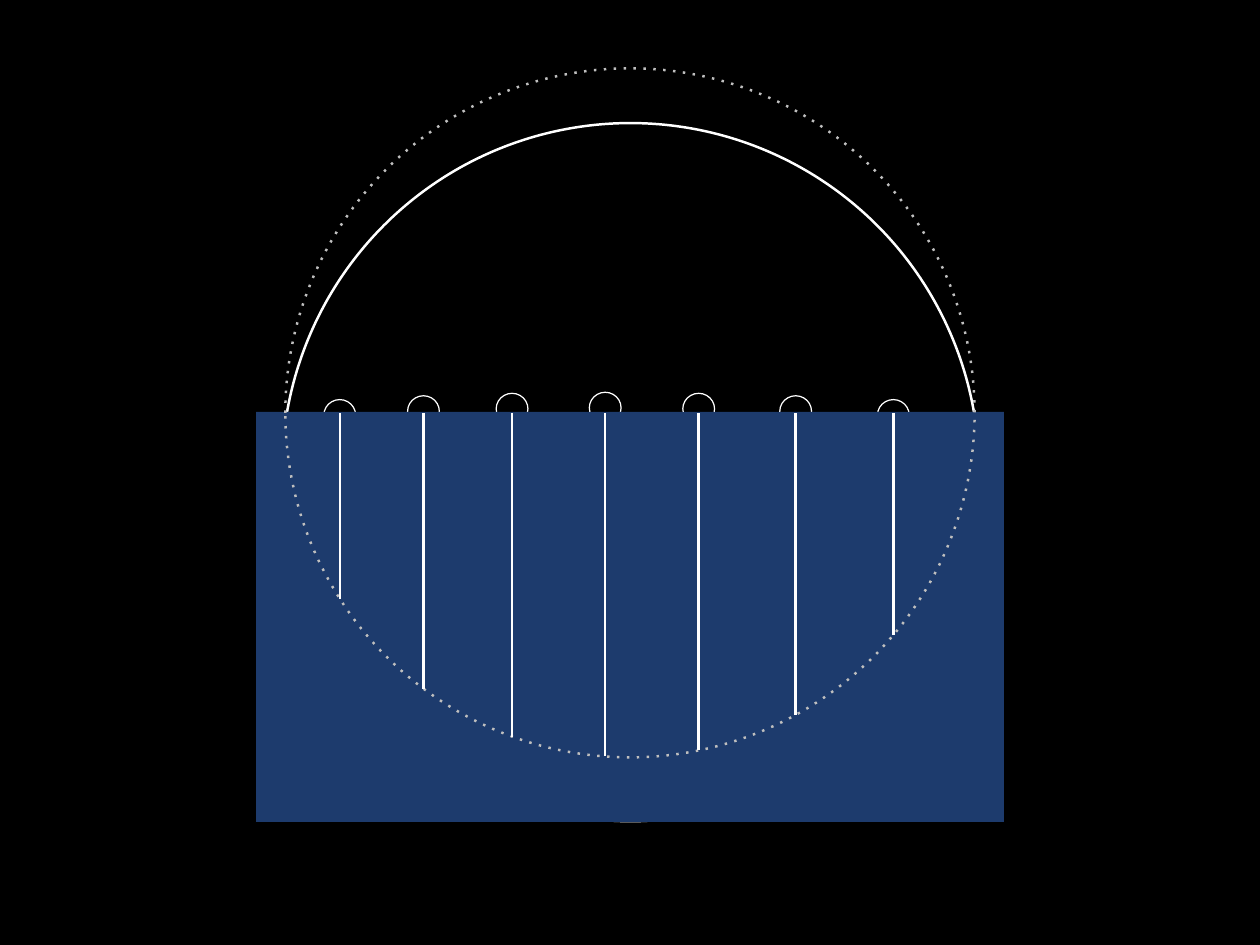
import math

import pptx
import pptx.dml.color
import pptx.enum.dml
import pptx.enum.shapes
import pptx.oxml.ns
import pptx.oxml.xmlchemy
import pptx.util
from pptx.util import Cm

BLACK = pptx.dml.color.RGBColor(0x00, 0x00, 0x00)
WHITE = pptx.dml.color.RGBColor(0xFF, 0xFF, 0xFF)
GREY = pptx.dml.color.RGBColor(0xBF, 0xBF, 0xBF)
BLUE = pptx.dml.color.RGBColor(0x1D, 0x3B, 0x6D)

OVAL = pptx.enum.shapes.MSO_SHAPE.OVAL
RECTANGLE = pptx.enum.shapes.MSO_SHAPE.RECTANGLE

# Small circles and hanging lines: offset from the centre, rise above the horizon
MARKS = [(-8.32, 0.38), (-5.92, 0.49), (-3.38, 0.56), (-0.71, 0.59),
         (1.97, 0.56), (4.75, 0.49), (7.55, 0.38)]


def set_line(shape, color, width):
    shape.line.color.rgb = color
    shape.line.width = pptx.util.Pt(width)


def add_outline(shapes, left, top, width, height, color, line_width):
    oval = shapes.add_shape(OVAL, Cm(left), Cm(top), Cm(width), Cm(height))
    oval.shadow.inherit = False
    oval.fill.background()
    set_line(oval, color, line_width)
    return oval


def add_straight_line(shapes, x1, y1, x2, y2):
    connector = shapes.add_connector(
        pptx.enum.shapes.MSO_CONNECTOR.STRAIGHT, Cm(x1), Cm(y1), Cm(x2), Cm(y2))
    set_line(connector, WHITE, 2)
    properties = connector._element.spPr
    properties.append(properties.makeelement(pptx.oxml.ns.qn("a:effectLst"), {}))


def add_half_circle_diagram(slide, left, top, diameter):
    """Place the diagram in the square box of its dotted circle."""
    shapes = slide.shapes
    radius = diameter / 2
    center = left + radius
    horizon = top + radius

    # Dome and small circles, whose lower parts the blue area covers
    add_outline(shapes, center - 9.98, horizon - 8.31, 19.99, 20.02, WHITE, 2)
    circle_width, circle_height = 0.91, 0.89
    for offset, rise in MARKS:
        add_outline(shapes, center + offset - circle_width / 2, horizon - rise,
                    circle_width, circle_height, WHITE, 1)

    # Horizon
    add_straight_line(shapes, center - 9.83, horizon, center + 9.85, horizon)

    # Blue area
    area = shapes.add_shape(RECTANGLE, Cm(center - 10.72), Cm(horizon - 0.03),
                            Cm(21.44), Cm(11.76))
    area.shadow.inherit = False
    area.fill.solid()
    area.fill.fore_color.rgb = BLUE
    area.line.fill.background()

    # Dotted circle
    dotted = add_outline(shapes, left, top, diameter, diameter, GREY, 2)
    dotted.line.dash_style = pptx.enum.dml.MSO_LINE.ROUND_DOT
    dash = dotted._element.spPr.find(".//" + pptx.oxml.ns.qn("a:prstDash"))
    dash.set("val", "dot")

    # Lines hanging from the horizon down to the dotted circle
    group = shapes.add_group_shape()
    for offset, _ in MARKS:
        depth = math.sqrt(radius ** 2 - offset ** 2)
        x = center + offset
        add_straight_line(group.shapes, x, horizon, x, horizon + depth)


def main():
    presentation = pptx.Presentation()
    presentation.slide_width = Cm(36.12)
    presentation.slide_height = Cm(27.1)
    slide = presentation.slides.add_slide(presentation.slide_layouts[6])
    slide.background.fill.solid()
    slide.background.fill.fore_color.rgb = BLACK
    add_half_circle_diagram(slide, 8.18, 1.96, 19.76)
    presentation.save("out.pptx")


if __name__ == "__main__":
    main()
